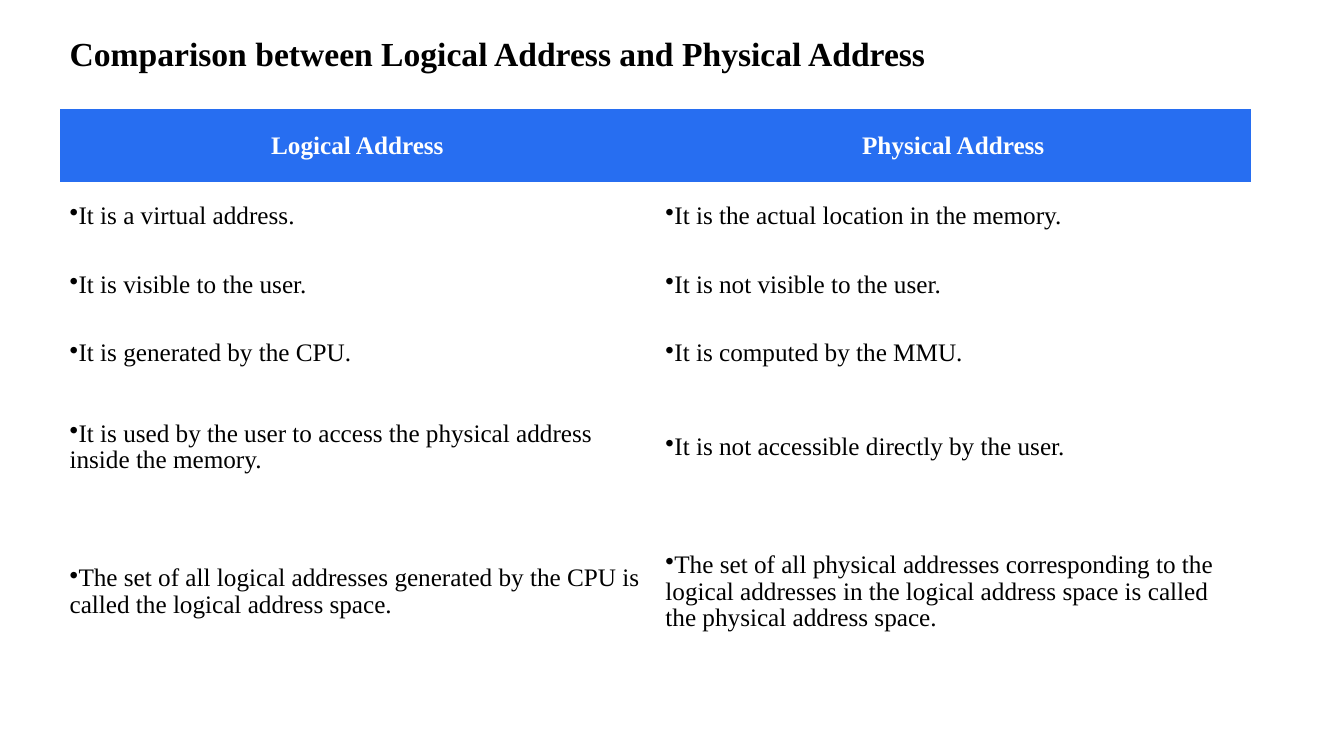
"""Build a slide comparing logical and physical addresses."""
from dataclasses import dataclass

from lxml import etree
from pptx import Presentation
from pptx.dml.color import RGBColor
from pptx.enum.text import MSO_ANCHOR, MSO_AUTO_SIZE, PP_ALIGN
from pptx.oxml.ns import qn
from pptx.util import Inches, Pt

LEFT, CENTER = PP_ALIGN.LEFT, PP_ALIGN.CENTER
MIDDLE = MSO_ANCHOR.MIDDLE
FIT_SHAPE = MSO_AUTO_SIZE.SHAPE_TO_FIT_TEXT
TITLE_ONLY = 5
FONT = "Times New Roman"
BLACK, WHITE, BLUE = "000000", "FFFFFF", "276EF1"
PLAIN_TABLE_STYLE = "{2D5ABB26-0587-4C30-8999-92F81FD0307C}"
COLUMN_WIDTH = 5.91
HEADER_INSET = 0.07


@dataclass(frozen=True)
class Comparison:
    """One table row: its height and the text for each kind of address."""
    height: float
    logical: str
    physical: str


@dataclass(frozen=True)
class TextStyle:
    """The look of a paragraph."""
    size: int
    color: str
    bold: bool
    align: PP_ALIGN = LEFT


TITLE_STYLE = TextStyle(24, BLACK, True)
HEADER_STYLE = TextStyle(18, WHITE, True, CENTER)
POINT_STYLE = TextStyle(18, BLACK, False)

COMPARISONS = [
    Comparison(0.73, "Logical Address", "Physical Address"),
    Comparison(0.68, "It is a virtual address.",
               "It is the actual location in the memory."),
    Comparison(0.68, "It is visible to the user.", "It is not visible to the user."),
    Comparison(0.68, "It is generated by the CPU.", "It is computed by the MMU."),
    Comparison(1.18, "It is used by the user to access the physical address inside the memory.",
               "It is not accessible directly by the user."),
    Comparison(1.69, "The set of all logical addresses generated by the CPU is called "
               "the logical address space.",
               "The set of all physical addresses corresponding to the logical addresses "
               "in the logical address space is called the physical address space."),
]


def rgb(color: str) -> RGBColor:
    """Turn a hex string into a colour."""
    return RGBColor.from_string(color)


def apply_format(target, values: dict) -> None:
    """Set every attribute given in a dict of format values."""
    for attribute, value in values.items():
        setattr(target, attribute, value)


def write_text(paragraph, text: str, style: TextStyle) -> None:
    """Write one styled run into a paragraph."""
    paragraph.alignment = style.align
    run = paragraph.add_run()
    run.text = text
    apply_format(run.font, {"name": FONT, "size": Pt(style.size), "bold": style.bold})
    run.font.color.rgb = rgb(style.color)


def add_bullet(paragraph) -> None:
    """Put a bullet directly before the text of a paragraph."""
    properties = paragraph._p.get_or_add_pPr()
    properties.set("marL", "0")
    properties.set("indent", "0")
    etree.SubElement(properties, qn("a:buChar")).set("char", "•")


def fill_cell(cell, text: str, is_header: bool) -> None:
    """Write a header or a bulleted point into a table cell."""
    cell.vertical_anchor = MIDDLE
    paragraph = cell.text_frame.paragraphs[0]
    if is_header:
        cell.fill.solid()
        cell.fill.fore_color.rgb = rgb(BLUE)
        sides = ("margin_left", "margin_right", "margin_top", "margin_bottom")
        apply_format(cell, dict.fromkeys(sides, Inches(HEADER_INSET)))
        write_text(paragraph, text, HEADER_STYLE)
    else:
        cell.fill.background()
        paragraph.line_spacing = 0.95
        write_text(paragraph, text, POINT_STYLE)
        add_bullet(paragraph)


def add_title(slide, text: str) -> None:
    """Place and format the slide title."""
    title = slide.shapes.title
    apply_format(title, {"left": Inches(0.59), "top": Inches(0.28),
                         "width": Inches(8.78), "height": Inches(0.5)})
    apply_format(title.text_frame, {"vertical_anchor": MIDDLE, "word_wrap": False,
                                    "auto_size": FIT_SHAPE})
    write_text(title.text_frame.paragraphs[0], text, TITLE_STYLE)


def add_comparison_table(slide, comparisons: list[Comparison]) -> None:
    """Draw the two-column comparison under its header row."""
    total_height = sum(comparison.height for comparison in comparisons)
    table = slide.shapes.add_table(
        len(comparisons), 2, Inches(0.59), Inches(1.08),
        Inches(2 * COLUMN_WIDTH), Inches(total_height)).table
    table.horz_banding = False
    table._tbl.tblPr.find(qn("a:tableStyleId")).text = PLAIN_TABLE_STYLE
    for row_index, comparison in enumerate(comparisons):
        table.rows[row_index].height = Inches(comparison.height)
        for column_index, text in enumerate((comparison.logical, comparison.physical)):
            fill_cell(table.cell(row_index, column_index), text, row_index == 0)


def main() -> None:
    """Build and save the presentation."""
    presentation = Presentation()
    apply_format(presentation, {"slide_width": Inches(13.33), "slide_height": Inches(7.5)})
    slide = presentation.slides.add_slide(presentation.slide_layouts[TITLE_ONLY])
    add_title(slide, "Comparison between Logical Address and Physical Address")
    add_comparison_table(slide, COMPARISONS)
    presentation.save("out.pptx")


if __name__ == "__main__":
    main()
